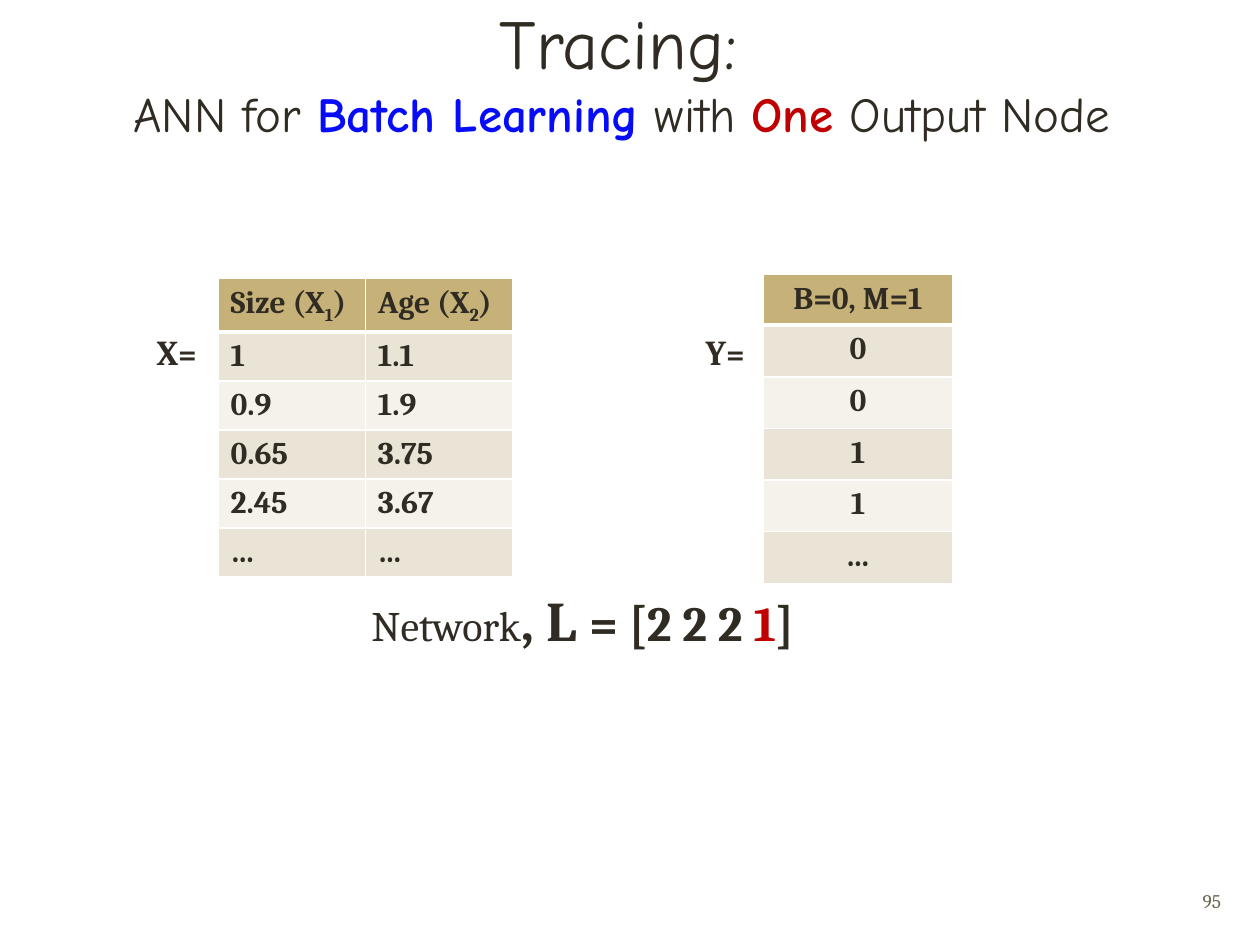
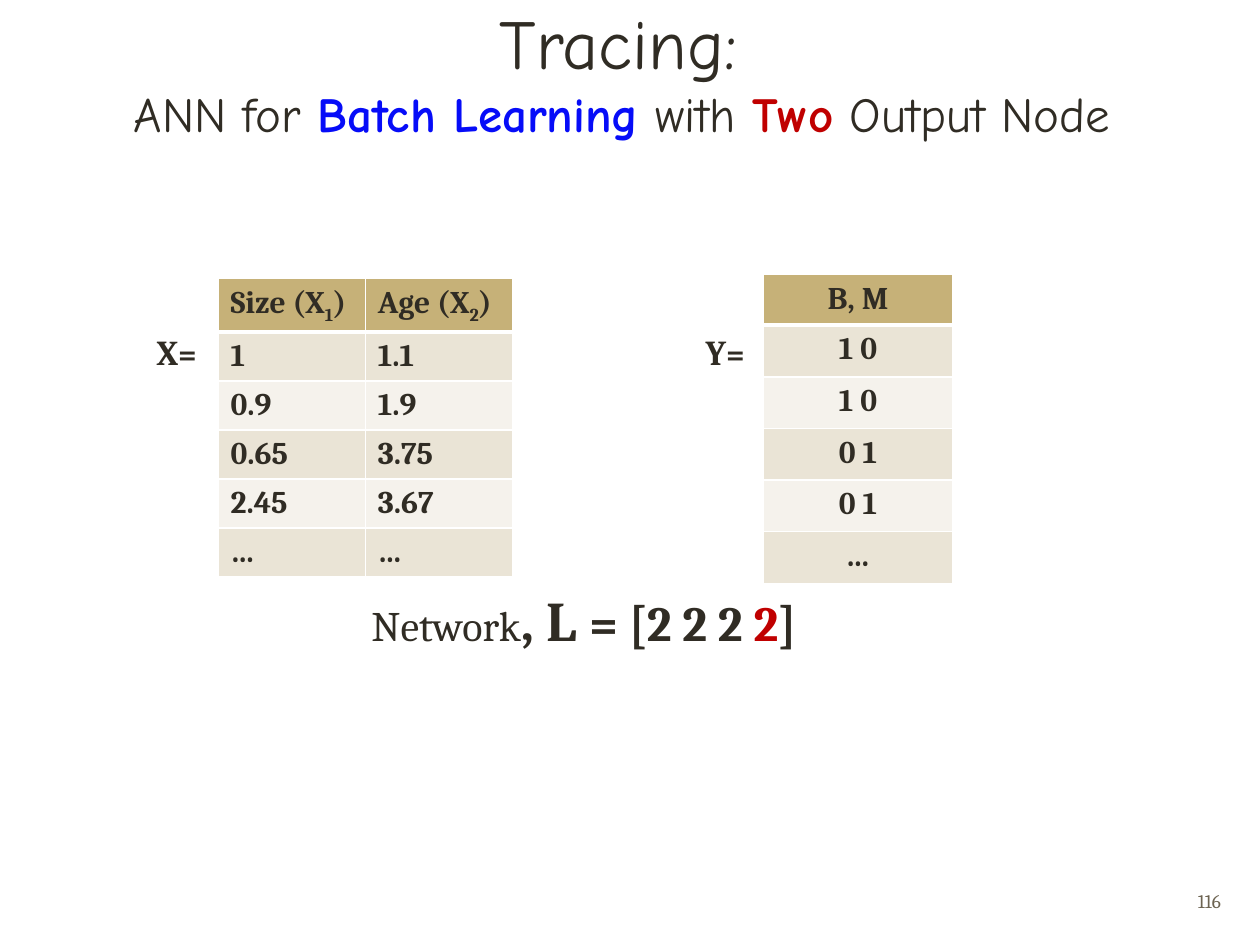
from lxml import etree
from pptx import Presentation
from pptx.dml.color import RGBColor
from pptx.enum.text import MSO_ANCHOR, MSO_AUTO_SIZE, PP_ALIGN
from pptx.oxml.ns import qn
from pptx.util import Inches, Pt

LEFT, CENTER, RIGHT = PP_ALIGN.LEFT, PP_ALIGN.CENTER, PP_ALIGN.RIGHT
TOP, MIDDLE, BOTTOM = MSO_ANCHOR.TOP, MSO_ANCHOR.MIDDLE, MSO_ANCHOR.BOTTOM
NO_FIT, GROW = MSO_AUTO_SIZE.NONE, MSO_AUTO_SIZE.SHAPE_TO_FIT_TEXT

INK = RGBColor(0x30, 0x2C, 0x24)
BLUE = RGBColor(0x06, 0x0C, 0xF8)
RED = RGBColor(0xC0, 0x00, 0x00)
MUTED = RGBColor(0x6D, 0x64, 0x52)
WHITE = RGBColor(0xFF, 0xFF, 0xFF)
HEADER = RGBColor(0xC6, 0xB1, 0x78)
BANDS = RGBColor(0xEA, 0xE4, 0xD6), RGBColor(0xF5, 0xF2, 0xEC)
TITLE_FONT, BODY_FONT = "Comic Neue", "Cambria"

# Content: a text is a list of (words, format) runs
SUBSCRIPT = {"sub": True}
FEATURES = [
    [[("Size (X", {}), ("1", SUBSCRIPT), (")", {})],
     [("Age (X", {}), ("2", SUBSCRIPT), (")", {})]],
    ["1", "1.1"],
    ["0.9", "1.9"],
    ["0.65", "3.75"],
    ["2.45", "3.67"],
    ["…", "…"],
]
CASES = [
    {"count": "One", "outputs": "1", "number": "95",
     "targets": ["B=0, M=1", "0", "0", "1", "1", "…"]},
    {"count": "Two", "outputs": "2", "number": "116",
     "targets": ["B, M", "1 0", "1 0", "0 1", "0 1", "…"]},
]


def add_runs(p, runs, **base):
    """Write runs into a paragraph; each format is laid over the base format."""
    for words, fmt in runs:
        style = {"name": BODY_FONT, "color": INK, "bold": False, **base, **fmt}
        r = p.add_run()
        r.text = words
        r.font.color.rgb = style.pop("color")
        if style.pop("sub", False):
            r.font._element.set("baseline", "-25000")
        for key, value in style.items():
            setattr(r.font, key, value)


def set_frame(tf, **settings):
    for key, value in {"word_wrap": True, **settings}.items():
        setattr(tf, key, value)


def add_title(s, count):
    title = s.shapes.title
    title.left, title.top = Inches(0.19), Inches(0.25)
    title.width, title.height = Inches(9.62), Inches(0.93)
    set_frame(title.text_frame, vertical_anchor=BOTTOM, auto_size=NO_FIT)
    p = title.text_frame.paragraphs[0]
    p.alignment = CENTER
    add_runs(p, [("Tracing: ", {})], name=TITLE_FONT, size=Pt(40))
    p.add_line_break()
    add_runs(p, [
        ("ANN for ", {}),
        ("Batch Learning", {"color": BLUE, "bold": True}),
        (" with ", {}),
        (count, {"color": RED, "bold": True}),
        (" Output Node ", {}),
    ], name=TITLE_FONT, size=Pt(28))


def add_text(s, box, runs, align=LEFT, anchor=TOP, fit=GROW):
    tf = s.shapes.add_textbox(*map(Inches, box)).text_frame
    set_frame(tf, vertical_anchor=anchor, auto_size=fit)
    tf.paragraphs[0].alignment = align
    add_runs(tf.paragraphs[0], runs)


def set_borders(cell, row):
    """White 1 pt grid with a 3 pt rule under the header row."""
    widths = {"lnL": 1, "lnR": 1, "lnT": 3 if row == 1 else 1, "lnB": 3 if row == 0 else 1}
    tc_pr = cell._tc.get_or_add_tcPr()
    for side, width in widths.items():
        line = etree.SubElement(tc_pr, qn(f"a:{side}"), w=str(Pt(width)))
        fill = etree.SubElement(line, qn("a:solidFill"))
        etree.SubElement(fill, qn("a:srgbClr"), val=str(WHITE))


def add_data_table(s, left, top, col_width, row_height, rows, align):
    n_rows, n_cols = len(rows), len(rows[0])
    table = s.shapes.add_table(
        n_rows, n_cols, Inches(left), Inches(top),
        Inches(col_width * n_cols), Inches(row_height * n_rows)).table
    for column in table.columns:
        column.width = Inches(col_width)
    for i, row in enumerate(rows):
        table.rows[i].height = Inches(row_height if i else 0.34)
        for j, content in enumerate(row):
            cell = table.cell(i, j)
            set_borders(cell, i)
            cell.fill.solid()
            cell.fill.fore_color.rgb = BANDS[(i - 1) % 2] if i else HEADER
            p = cell.text_frame.paragraphs[0]
            p.alignment = align
            runs = [(content, {})] if isinstance(content, str) else content
            add_runs(p, runs, size=Pt(18), bold=True)


def add_matrix_label(s, left, letter):
    add_text(s, (left, 2.57, 0.78, 0.44), [
        (letter, {"size": Pt(20), "bold": True}),
        ("=", {"size": Pt(18), "bold": True}),
    ], RIGHT)


def add_case(prs, case):
    s = prs.slides.add_slide(prs.slide_layouts[5])
    add_title(s, case["count"])
    add_text(s, (7.46, 6.95, 2.33, 0.4),
             [(case["number"], {"size": Pt(11), "color": MUTED})], RIGHT, MIDDLE, NO_FIT)
    add_data_table(s, 1.73, 2.21, 1.17, 0.34, FEATURES, LEFT)
    add_matrix_label(s, 0.88, "X")
    add_data_table(s, 6.06, 2.18, 1.5, 0.41, [[t] for t in case["targets"]], CENTER)
    add_matrix_label(s, 5.23, "Y")
    layers = {"size": Pt(28), "bold": True}
    add_text(s, (2.85, 4.6, 5.13, 0.64), [
        ("Network", {"size": Pt(24)}),
        (", L ", {"size": Pt(32), "bold": True}),
        ("= [2 2 2 ", layers),
        (case["outputs"], {**layers, "color": RED}),
        ("]", layers),
    ])


def main():
    prs = Presentation()
    prs.slide_width, prs.slide_height = Inches(10), Inches(7.5)
    for case in CASES:
        add_case(prs, case)
    prs.save("out.pptx")


if __name__ == "__main__":
    main()
